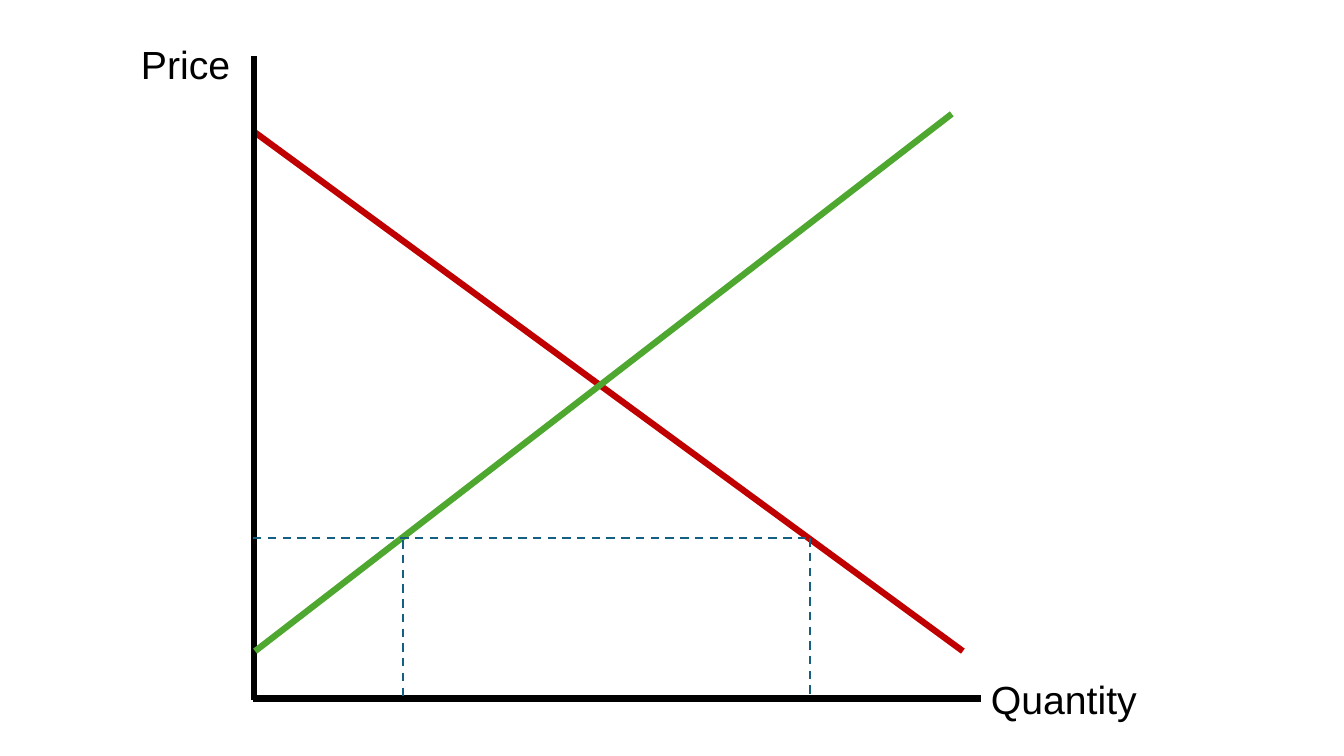
from pptx import Presentation
from pptx.dml.color import RGBColor
from pptx.enum.dml import MSO_LINE_DASH_STYLE as Dash
from pptx.enum.shapes import MSO_CONNECTOR as Connector
from pptx.enum.text import MSO_AUTO_SIZE as AutoSize
from pptx.util import Inches, Pt
from lxml import etree

BLACK, DEMAND, SUPPLY, GUIDE = "000000", "C00000", "4EA72E", "156082"
DRAWING = "http://schemas.openxmlformats.org/drawingml/2006/main"


def color(code):
    return RGBColor.from_string(code)


def add_line(shapes, start, end, code, width=4.5, dash=None):
    line = shapes.add_connector(
        Connector.STRAIGHT, *(Inches(value) for value in (*start, *end)))
    line.line.color.rgb = color(code)
    line.line.width = Pt(width)
    if dash:
        line.line.dash_style = dash
    etree.SubElement(line._element.spPr, f"{{{DRAWING}}}effectLst")


def add_label(page, text, left, top, width, height=0.57, size=28, font="Arial", code=BLACK):
    box = page.shapes.add_textbox(*(Inches(value) for value in (left, top, width, height)))
    frame = box.text_frame
    frame.word_wrap = True
    frame.auto_size = AutoSize.SHAPE_TO_FIT_TEXT
    span = frame.paragraphs[0].add_run()
    span.text = text
    span.font.name = font
    span.font.size = Pt(size)
    span.font.color.rgb = color(code)


def add_axes(page, left, top, width, height):
    """Draw both axes along the left and bottom of the box, with their names."""
    right, bottom = left + width, top + height
    axes = page.shapes.add_group_shape().shapes
    add_line(axes, (left + 0.01, top), (left + 0.01, bottom + 0.01), BLACK)
    add_line(axes, (right, bottom), (left, bottom), BLACK)
    add_label(page, "Price", left - 1.21, top - 0.21, 1.21)
    add_label(page, "Quantity", right, bottom - 0.28, 1.94)


def add_guides(page, left, top, width, height, supplied):
    """Dash the price level and the quantities demanded and supplied at it."""
    right, bottom = left + width, top + height
    style = {"code": GUIDE, "width": 1.5, "dash": Dash.DASH}
    demanded = page.shapes.add_group_shape().shapes
    add_line(demanded, (left, top), (right, top), **style)
    add_line(demanded, (right, top), (right, bottom), **style)
    add_line(page.shapes, (left + supplied, top + 0.02), (left + supplied, bottom + 0.02), **style)


def add_market(page, left, top, width, height):
    """Draw the supply and demand diagram in the box spanned by its axes."""
    low = top + height - 0.47
    add_line(page.shapes, (left, top + 0.74), (left + width - 0.18, low), DEMAND)
    add_axes(page, left, top, width, height)
    add_line(page.shapes, (left + 0.02, low), (left + width - 0.29, top + 0.57), SUPPLY)
    add_guides(page, left, top + 4.78, 5.52, height - 4.79, supplied=1.49)


def main():
    deck = Presentation()
    deck.slide_width, deck.slide_height = Inches(13.33), Inches(7.5)
    page = deck.slides.add_slide(deck.slide_layouts[6])
    add_market(page, 2.51, 0.56, 7.22, 6.37)
    deck.save("out.pptx")


if __name__ == "__main__":
    main()
